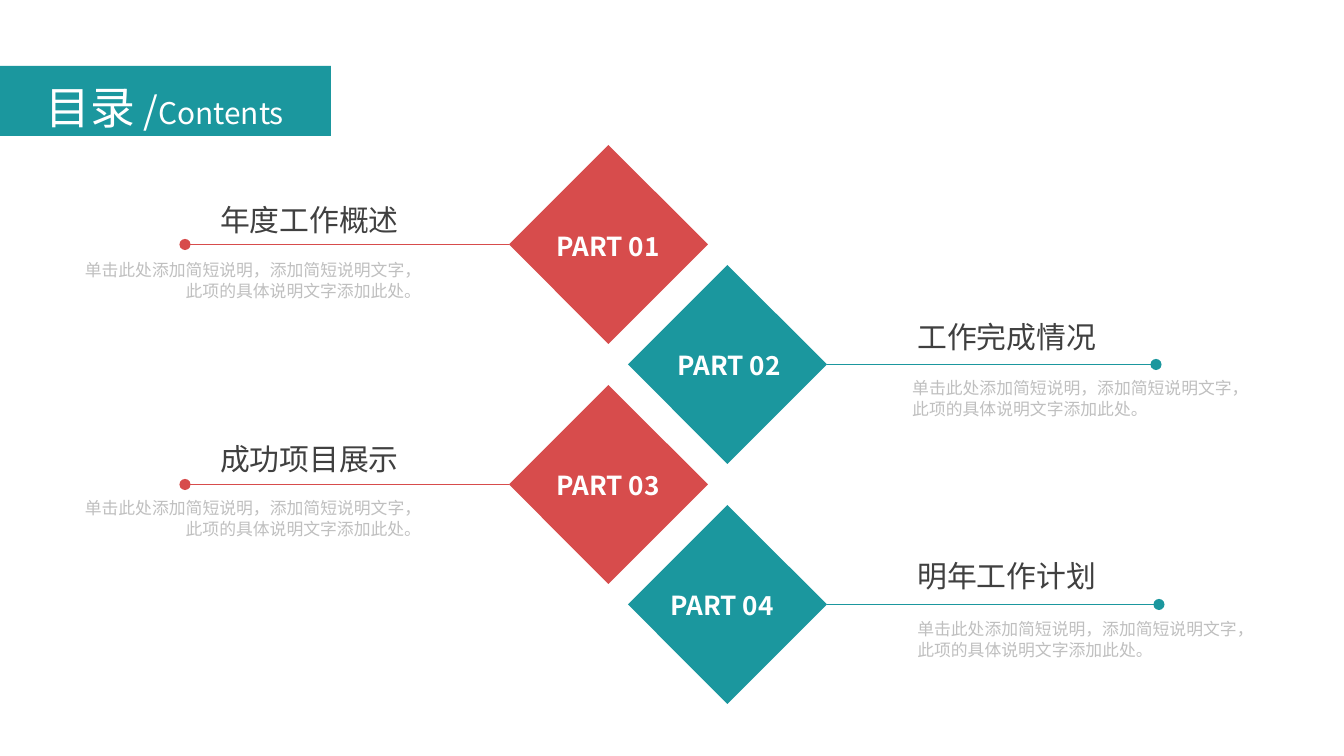
"""Build the contents slide with four numbered diamonds and their descriptions."""
from lxml import etree
from pptx import Presentation
from pptx import util as u
from pptx.dml.color import RGBColor
from pptx.enum import shapes, text
from pptx.oxml.ns import qn

TEAL = RGBColor(0x1B, 0x97, 0x9E)
RED = RGBColor(0xD7, 0x4C, 0x4C)
WHITE = RGBColor(0xFF, 0xFF, 0xFF)
DARK = RGBColor(0x40, 0x40, 0x40)
GREY = RGBColor(0xBF, 0xBF, 0xBF)
CJK = "Noto Sans CJK SC"

HEADER = [("目录", 24), (" /", 20), ("Contents", 16)]
DESCRIPTION = ["单击此处添加简短说明，添加简短说明文字，", "此项的具体说明文字添加此处。"]
PARTS = [
    dict(label="PART 01", title="年度工作概述", label_x=543, title_at=(207, 194),
         description_at=(52, 253), line_end=185),
    dict(label="PART 02", title="工作完成情况", label_x=664, title_at=(904, 310),
         description_at=(899, 371), line_end=1156),
    dict(label="PART 03", title="成功项目展示", label_x=543, title_at=(207, 433),
         description_at=(52, 491), line_end=185),
    dict(label="PART 04", title="明年工作计划", label_x=657, title_at=(904, 550),
         description_at=(904, 612), line_end=1159),
]
DIAMOND = 199
DIAMOND_X = (509, 628)
FIRST_TOP, STEP = 145, 120


def px(value):
    return u.Emu(round(value * 914400 / 134.4))


def add_run(paragraph, words, size, color, latin=CJK, bold=False):
    run = paragraph.add_run()
    run.text = words
    font = run.font
    font.size, font.bold = u.Pt(size), bold
    font.color.rgb = color
    font.name = latin
    etree.SubElement(font._element, qn("a:ea")).set("typeface", CJK)


def add_text(parent, box, lines, size, color, leading, latin=CJK,
             bold=False, wrap=False, align=text.PP_ALIGN.LEFT):
    frame = parent.add_textbox(*map(px, box)).text_frame
    frame.word_wrap = wrap
    for index, words in enumerate(lines):
        paragraph = frame.add_paragraph() if index else frame.paragraphs[0]
        paragraph.alignment = align
        paragraph.line_spacing = u.Pt(leading)
        add_run(paragraph, words, size, color, latin, bold)


def add_block(parent, kind, box, color):
    shape = parent.add_shape(kind, *map(px, box))
    shape.shadow.inherit = False
    shape.fill.solid()
    shape.fill.fore_color.rgb = color
    shape.line.fill.background()
    return shape


def add_dotted_line(parent, start, end, y, color):
    line = parent.add_connector(shapes.MSO_CONNECTOR.STRAIGHT, px(start), px(y), px(end), px(y))
    line.line.color.rgb = color
    line.line.width = u.Pt(0.5)
    etree.SubElement(line.line._get_or_add_ln(), qn("a:tailEnd")).set("type", "oval")
    etree.SubElement(line._element.spPr, qn("a:effectLst"))


def add_part(slide, index, part):
    on_right = index % 2
    color = TEAL if on_right else RED
    left, top = DIAMOND_X[on_right], FIRST_TOP + index * STEP
    group = slide.shapes.add_group_shape().shapes
    add_block(group, shapes.MSO_SHAPE.DIAMOND, (left, top, DIAMOND, DIAMOND), color)
    add_text(group, (part["label_x"], top + 77, 137, 46), [part["label"]],
             14, WHITE, 17.5, bold=True)
    start = left + DIAMOND if on_right else left
    add_dotted_line(slide.shapes, start, part["line_end"], top + DIAMOND / 2, color)
    add_text(slide.shapes, (*part["title_at"], 208, 50), [part["title"]],
             16, DARK, 20, latin="Arial")
    add_text(slide.shapes, (*part["description_at"], 382, 54), DESCRIPTION, 9, GREY, 11,
             wrap=True, align=text.PP_ALIGN.LEFT if on_right else text.PP_ALIGN.RIGHT)


def add_header(slide):
    frame = add_block(slide.shapes, shapes.MSO_SHAPE.RECTANGLE, (-1, 66, 332, 70), TEAL).text_frame
    frame.margin_left = frame.margin_right = px(9)
    frame.margin_top = frame.margin_bottom = px(5)
    frame.vertical_anchor = text.MSO_ANCHOR.MIDDLE
    paragraph = frame.paragraphs[0]
    paragraph.alignment = text.PP_ALIGN.CENTER
    paragraph.line_spacing = 1.2
    for words, size in HEADER:
        add_run(paragraph, words, size, WHITE)


def main():
    presentation = Presentation()
    presentation.slide_width, presentation.slide_height = px(1344), px(756)
    slide = presentation.slides.add_slide(presentation.slide_layouts[6])
    for index, part in enumerate(PARTS):
        add_part(slide, index, part)
    add_header(slide)
    presentation.save("out.pptx")


if __name__ == "__main__":
    main()
